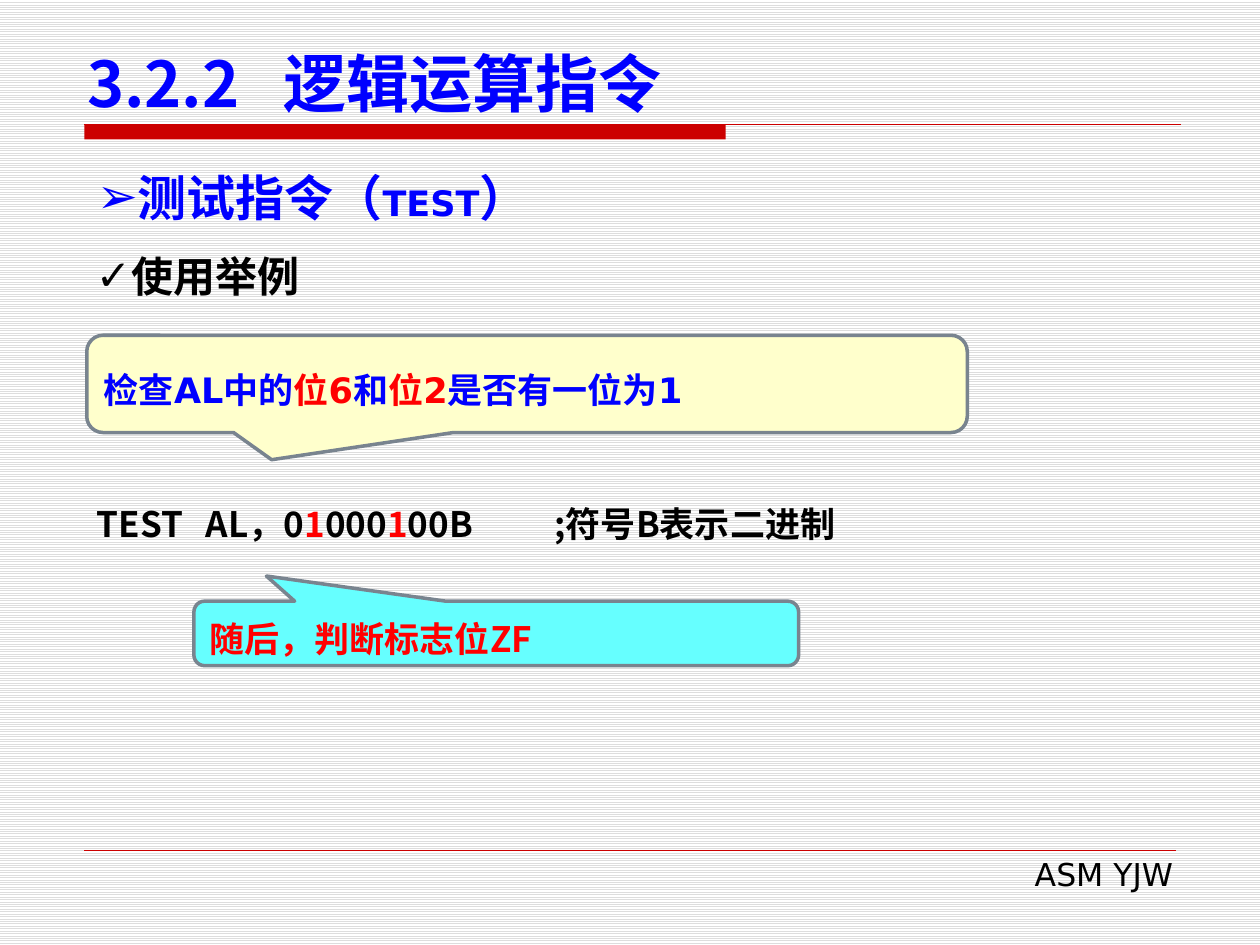
from lxml import etree
from pptx import Presentation
from pptx.dml.color import RGBColor
from pptx.enum.dml import MSO_PATTERN
from pptx.enum.shapes import MSO_CONNECTOR, MSO_SHAPE
from pptx.enum.text import MSO_ANCHOR, MSO_AUTO_SIZE, PP_ALIGN
from pptx.oxml.ns import qn
from pptx.util import Cm, Pt

RECT = MSO_SHAPE.RECTANGLE
CALLOUT = MSO_SHAPE.ROUNDED_RECTANGULAR_CALLOUT
LINE = MSO_CONNECTOR.STRAIGHT
HATCH = MSO_PATTERN.LIGHT_HORIZONTAL
TOP, MIDDLE, BOTTOM = MSO_ANCHOR.TOP, MSO_ANCHOR.MIDDLE, MSO_ANCHOR.BOTTOM
LEFT, RIGHT, JUST = PP_ALIGN.LEFT, PP_ALIGN.RIGHT, PP_ALIGN.JUSTIFY
FIXED = MSO_AUTO_SIZE.NONE

BLACK = RGBColor(0x00, 0x00, 0x00)
WHITE = RGBColor(0xFF, 0xFF, 0xFF)
GREY = RGBColor(0xDD, 0xDD, 0xDD)
SLATE = RGBColor(0x79, 0x84, 0x8F)
BLUE = RGBColor(0x00, 0x00, 0xFF)
RED = RGBColor(0xFF, 0x00, 0x00)
BRICK = RGBColor(0xCC, 0x00, 0x00)
CREAM = RGBColor(0xFF, 0xFF, 0xCC)
CYAN = RGBColor(0x66, 0xFF, 0xFF)
SANS, SERIF, CJK = "DejaVu Sans", "Times New Roman", "Noto Sans CJK SC"


def write(shape, parts, size=20, font=SANS, color=BLACK, bold=True,
          align=LEFT, anchor=TOP, space=None, bullet=None, tabs=()):
    frame = shape.text_frame
    frame.word_wrap = True
    frame.auto_size = FIXED
    frame.vertical_anchor = anchor
    para = frame.paragraphs[0]
    para.alignment = align
    para.space_before = Pt(0)
    if space:
        para.line_spacing = Pt(space)
    props = para._p.get_or_add_pPr()
    if bullet:
        props.set("marL", "0")
        props.set("indent", "0")
        etree.SubElement(props, qn("a:buChar"), char=bullet)
    if tabs:
        stops = etree.SubElement(props, qn("a:tabLst"))
        for tab in tabs:
            etree.SubElement(stops, qn("a:tab"), pos=str(Cm(tab)), algn="l")
    for text, look in parts:
        run = para.add_run()
        run.text = text
        run.font.name = font
        run.font.bold = bold
        run.font.size = Pt(look.get("size", size))
        run.font.color.rgb = look.get("color", color)


def place(shape, left, top, width, height):
    shape.left, shape.top = Cm(left), Cm(top)
    shape.width, shape.height = Cm(width), Cm(height)
    return shape


deck = Presentation()
deck.slide_width, deck.slide_height = Cm(25.4), Cm(19.05)
slide = deck.slides.add_slide(deck.slide_layouts[3])
shapes = slide.shapes
title, topic, sample = slide.placeholders

back = slide.background.fill
back.patterned()
back.pattern = HATCH
back.fore_color.rgb = GREY
back.back_color.rgb = WHITE

bar = place(shapes.add_shape(RECT, 0, 0, 0, 0), 1.7, 2.51, 12.93, 0.3)
bar.shadow.inherit = False
bar.fill.solid()
bar.fill.fore_color.rgb = BRICK
bar.line.fill.background()

for end, y, width in ((23.8, 2.51, 0.75), (23.7, 17.15, 0.25)):
    rule = shapes.add_connector(LINE, Cm(1.7), Cm(y), Cm(end), Cm(y))
    rule.line.color.rgb = BRICK
    rule.line.width = Pt(width)
    etree.SubElement(rule._element.spPr, qn("a:effectLst"))

foot = place(shapes.add_textbox(0, 0, 0, 0), 9.7, 17.12, 14.2, 1.02)
write(foot, [("ASM YJW", {})], size=18, bold=False, align=RIGHT)

place(title, 1.5, 0.74, 23.01, 1.8)
write(title, [("3.2.2\t逻辑运算指令", {})], size=36, font=CJK, color=BLUE,
      anchor=BOTTOM, tabs=[3.97])

place(topic, 1.7, 3.25, 22, 1.45)
write(topic, [("测试指令（", {}), ("TEST", {"size": 20}), ("）", {})],
      size=28, color=BLUE, align=JUST, bullet="➢")

place(sample, 1.68, 4.93, 10.82, 1.27)
write(sample, [("使用举例", {})], size=24, font=SERIF, bullet="✓")

code = place(shapes.add_textbox(0, 0, 0, 0), 1.7, 10.01, 19.86, 1.12)
hot = {"color": RED}
write(code, [("TEST\tAL，0", {}), ("1", hot), ("000", {}), ("1", hot),
             ("00B\t;符号B表示二进制", {})], font=CJK, tabs=[2.2, 9.23])

goal = [("检查AL中的", {}), ("位6", hot), ("和", {}), ("位2", hot),
        ("是否有一位为1", {})]
then = [("随后，判断标志位ZF", {})]
for spot, tip, fill, parts, font, color in (
    ((1.75, 6.76, 17.75, 1.96), (-0.29, 0.78), CREAM, goal, SANS, BLUE),
    ((3.91, 12.12, 12.19, 1.3), (-0.38, -0.89), CYAN, then, CJK, RED),
):
    note = place(shapes.add_shape(CALLOUT, 0, 0, 0, 0), *spot)
    note.adjustments[0], note.adjustments[1] = tip
    note.shadow.inherit = False
    note.fill.solid()
    note.fill.fore_color.rgb = fill
    note.line.color.rgb = SLATE
    note.line.width = Pt(2)
    write(note, parts, font=font, color=color, anchor=MIDDLE, space=30)

deck.save("out.pptx")
